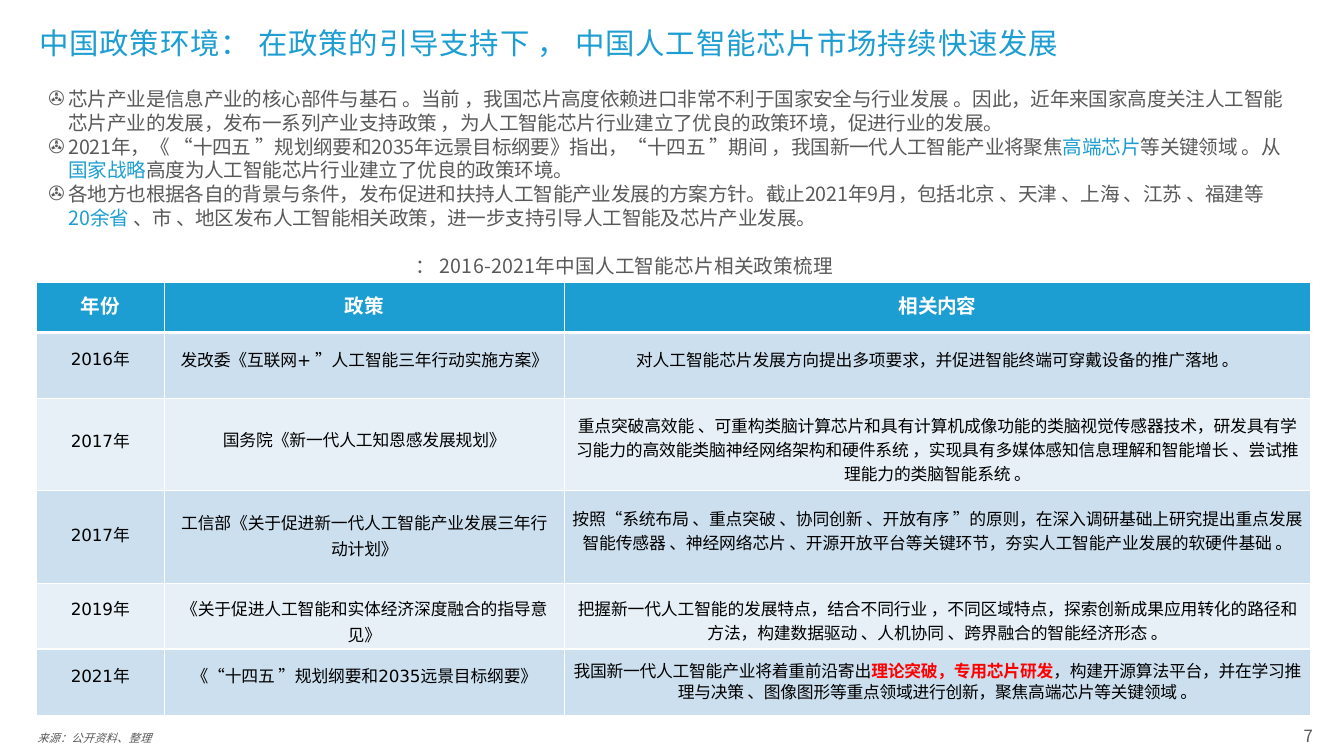
import itertools

import pptx
import pptx.dml.color
import pptx.enum.text
import pptx.util
from lxml import etree
from pptx.oxml.ns import qn
from pptx.util import Inches, Pt

COLORS = {"blue": "1D9ED2", "grey": "595959", "white": "FFFFFF", "black": "000000",
          "red": "FF0000", "band_dark": "CCDFEE", "band_light": "E7F0F7"}
CJK, LATIN = "Noto Sans CJK SC", "DejaVu Sans"
LATIN_CHARS = "0123456789+"

# Text between two | marks is emphasised; \n is a line break.
TITLE = "中国政策环境： 在政策的引导支持下 ， 中国人工智能芯片市场持续快速发展"
BULLETS = [
    "芯片产业是信息产业的核心部件与基石 。当前 ，我国芯片高度依赖进口非常不利于国家安全与行业发展 。"
    "因此，近年来国家高度关注人工智能\n"
    "芯片产业的发展，发布一系列产业支持政策 ，为人工智能芯片行业建立了优良的政策环境，促进行业的发展。",
    "2021年，《 “十四五 ”规划纲要和2035年远景目标纲要》指出，“十四五 ”期间 ，"
    "我国新一代人工智能产业将聚焦|高端芯片|等关键领域 。从\n"
    "|国家战略|高度为人工智能芯片行业建立了优良的政策环境。",
    "各地方也根据各自的背景与条件，发布促进和扶持人工智能产业发展的方案方针。"
    "截止2021年9月，包括北京 、天津 、上海 、江苏 、福建等\n"
    "|20余省 |、市 、地区发布人工智能相关政策，进一步支持引导人工智能及芯片产业发展。",
]
CAPTION = "： 2016-2021年中国人工智能芯片相关政策梳理"
SOURCE = "来源：公开资料、整理"
PAGE = "7"

HEADER = ["年份", "政策", "相关内容"]
POLICIES = [
    ("2016年", "发改委《互联网+ ”人工智能三年行动实施方案》",
     "对人工智能芯片发展方向提出多项要求，并促进智能终端可穿戴设备的推广落地 。"),
    ("2017年", "国务院《新一代人工知恩感发展规划》",
     "重点突破高效能 、可重构类脑计算芯片和具有计算机成像功能的类脑视觉传感器技术，研发具有学\n"
     "习能力的高效能类脑神经网络架构和硬件系统 ，实现具有多媒体感知信息理解和智能增长 、尝试推\n"
     "理能力的类脑智能系统 。"),
    ("2017年", "工信部《关于促进新一代人工智能产业发展三年行\n动计划》",
     "按照“系统布局 、重点突破 、协同创新 、开放有序 ”的原则，在深入调研基础上研究提出重点发展\n"
     "智能传感器 、神经网络芯片 、开源开放平台等关键环节，夯实人工智能产业发展的软硬件基础 。"),
    ("2019年", "《关于促进人工智能和实体经济深度融合的指导意\n见》",
     "把握新一代人工智能的发展特点，结合不同行业 ，不同区域特点，探索创新成果应用转化的路径和\n"
     "方法，构建数据驱动 、人机协同 、跨界融合的智能经济形态 。"),
    ("2021年", "《“十四五 ”规划纲要和2035远景目标纲要》",
     "我国新一代人工智能产业将着重前沿寄出|理论突破，专用芯片研发|，构建开源算法平台，并在学习推\n"
     "理与决策 、图像图形等重点领域进行创新，聚焦高端芯片等关键领域 。"),
]
COL_WIDTHS = [1.27, 3.97, 7.4]
ROW_HEIGHTS = [0.5, 0.65, 0.92, 0.92, 0.65, 0.66]
# How far each cell's text sits above the middle of its row
LIFTS = [(0, 0, 0), (0.07, 0.07, 0.06), (0.04, 0.06, -0.05),
         (0.03, 0.03, 0.07), (0.08, -0.04, -0.04), (0.07, 0.08, 0)]
COL_LEADING = [17, 18.5, 17]
LAST_LEADING = 15


def rgb(name):
    return pptx.dml.color.RGBColor.from_string(COLORS[name])


def add_run(p, text, latin, color, spc, **font):
    r = p.add_run()
    r.text = text
    r.font.name = latin
    r.font.color.rgb = rgb(color)
    for key, value in font.items():
        setattr(r.font, key, value)
    rPr = r.font._element
    rPr.set("spc", str(spc))
    etree.SubElement(rPr, qn("a:ea")).set("typeface", CJK)


def write(p, text, leading, color, spc=0, latin=CJK, emphasis=None, **font):
    """Fill a paragraph, honouring line breaks, | marks and the Latin font."""
    p.line_spacing = Pt(leading)
    for i, line in enumerate(text.split("\n")):
        if i:
            p.add_line_break()
        for j, part in enumerate(line.split("|")):
            look = {"color": color, **font, **((emphasis or {}) if j % 2 else {})}
            for is_latin, chars in itertools.groupby(part, lambda c: c in LATIN_CHARS):
                add_run(p, "".join(chars), latin if is_latin else CJK, spc=spc, **look)


def add_box(slide, left, top, width, height):
    tf = slide.shapes.add_textbox(*map(Inches, (left, top, width, height))).text_frame
    tf.word_wrap = True
    for side in ("left", "top", "right", "bottom"):
        setattr(tf, f"margin_{side}", 0)
    return tf


def add_bullet(p):
    pPr = p._p.get_or_add_pPr()
    pPr.set("marL", str(Inches(0.2)))
    pPr.set("indent", str(Inches(-0.2)))
    etree.SubElement(pPr, qn("a:buFont")).set("typeface", "Arial")
    etree.SubElement(pPr, qn("a:buChar")).set("char", "✇")


def add_borders(cell, widths):
    tcPr = cell._tc.get_or_add_tcPr()
    for side, width in zip("LRTB", widths):
        ln = etree.SubElement(tcPr, qn(f"a:ln{side}"), w=str(Pt(width)))
        fill = etree.SubElement(ln, qn("a:solidFill"))
        etree.SubElement(fill, qn("a:srgbClr")).set("val", COLORS["white"])


def add_policy_table(slide):
    rows = [HEADER] + POLICIES
    table = slide.shapes.add_table(
        len(rows), len(HEADER), Inches(0.36), Inches(2.8),
        Inches(sum(COL_WIDTHS)), Inches(sum(ROW_HEIGHTS))).table
    for column, width in zip(table.columns, COL_WIDTHS):
        column.width = Inches(width)
    for row, height in zip(table.rows, ROW_HEIGHTS):
        row.height = Inches(height)
    for i, texts in enumerate(rows):
        band = "blue" if i == 0 else "band_dark" if i % 2 else "band_light"
        for j, text in enumerate(texts):
            cell = table.cell(i, j)
            lift = LIFTS[i][j]
            margins = {"margin_left": 0, "margin_right": 0,
                       "margin_top": Inches(max(0, -2 * lift)),
                       "margin_bottom": Inches(max(0, 2 * lift)),
                       "vertical_anchor": pptx.enum.text.MSO_ANCHOR.MIDDLE}
            for key, value in margins.items():
                setattr(cell, key, value)
            add_borders(cell, (1, 1, 3 if i == 1 else 1, 3 if i == 0 else 1))
            cell.fill.solid()
            cell.fill.fore_color.rgb = rgb(band)
            p = cell.text_frame.paragraphs[0]
            p.alignment = pptx.enum.text.PP_ALIGN.CENTER
            if i == 0:
                write(p, text, 17, "white", spc=-20, size=Pt(14), bold=True)
            else:
                last = i == len(rows) - 1 and j == 2
                write(p, text, LAST_LEADING if last else COL_LEADING[j], "black",
                      spc=-20 if last else -10, latin=LATIN, size=Pt(12), bold=False,
                      emphasis={"color": "red", "bold": True})


def main():
    prs = pptx.Presentation()
    prs.slide_width, prs.slide_height = Inches(13.33), Inches(7.5)
    slide = prs.slides.add_slide(prs.slide_layouts[6])

    title = add_box(slide, 0.39, 0.24, 12.6, 0.36)
    write(title.paragraphs[0], TITLE, 25.6, "blue", spc=60, size=Pt(21))

    bullets = add_box(slide, 0.48, 0.86, 12.7, 1.42)
    for i, text in enumerate(BULLETS):
        p = bullets.add_paragraph() if i else bullets.paragraphs[0]
        add_bullet(p)
        write(p, text, 17, "grey", spc=-20, size=Pt(14), emphasis={"color": "blue"})

    caption = add_box(slide, 4.12, 2.52, 4.6, 0.24)
    write(caption.paragraphs[0], CAPTION, 17, "grey", spc=15, size=Pt(14))

    add_policy_table(slide)

    source = add_box(slide, 0.37, 7.25, 1.6, 0.15)
    write(source.paragraphs[0], SOURCE, 10, "grey", spc=10, size=Pt(8), italic=True)
    page = add_box(slide, 12.93, 7.19, 0.15, 0.21)
    write(page.paragraphs[0], PAGE, 15, "grey", spc=-20, size=Pt(12))

    prs.save("out.pptx")


if __name__ == "__main__":
    main()
